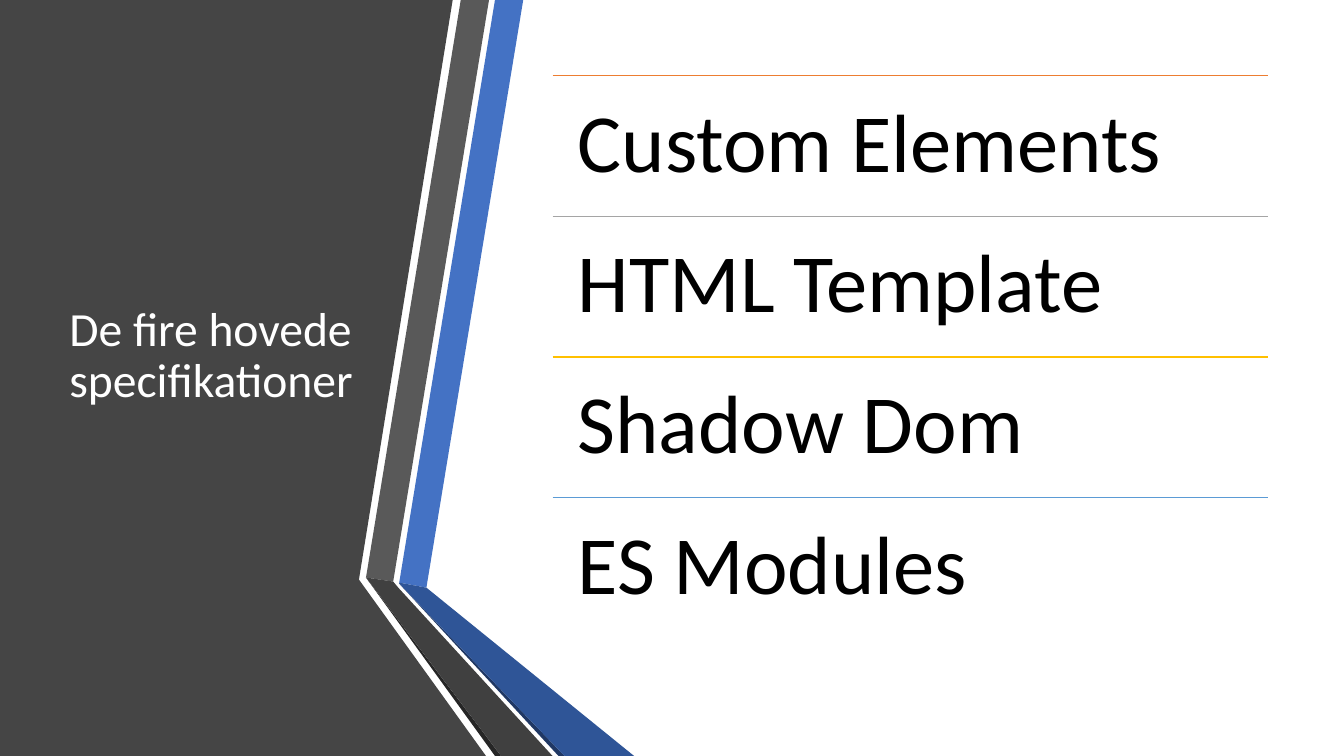
from pptx import Presentation
from pptx.dml.color import RGBColor
from pptx.enum import shapes, text
from pptx.oxml import ns, xmlchemy
from pptx.util import Inches, Pt

COLORS = {
    "panel": "454545", "blue": "4472C4", "gray": "595959",
    "gray_edge": "262626", "blue_edge": "203864",
    "blue_fold": "2F5597", "gray_fold": "404040",
    "orange": "ED7D31", "silver": "A5A5A5", "gold": "FFC000", "sky": "5B9BD5",
    "white": "FFFFFF", "black": "000000",
}
TITLE = "De fire hovede specifikationer"
SPECIFICATIONS = [
    ("Custom Elements", "orange"),
    ("HTML Template", "silver"),
    ("Shadow Dom", "gold"),
    ("ES Modules", "sky"),
]
BANDS = [
    ("panel", [(0, 0), (4.49, 0), (3.56, 5.75), (4.82, 7.5), (0, 7.5)]),
    ("blue", [(3.96, 5.78), (4.23, 5.83), (5.19, 0), (4.91, 0)]),
    ("gray", [(4.85, 0), (4.57, 0), (3.63, 5.73), (3.9, 5.77)]),
    ("gray_edge", [(3.63, 5.73), (4.91, 7.5), (4.97, 7.5)]),
    ("blue_edge", [(3.96, 5.79), (5.54, 7.5), (5.6, 7.5)]),
    ("blue_fold", [(3.96, 5.79), (5.6, 7.5), (6.29, 7.5), (4.23, 5.83), (3.96, 5.78)]),
    ("gray_fold", [(5.48, 7.5), (3.95, 5.83), (3.9, 5.77), (3.63, 5.73), (4.97, 7.5)]),
]
LIST_LEFT, LIST_WIDTH = 5.48, 7.1
TOP, HEIGHT = 0.75, 5.58


def rgb(name):
    return RGBColor.from_string(COLORS[name])


def add_band(slide, color, points):
    corners = [(Inches(x), Inches(y)) for x, y in points]
    builder = slide.shapes.build_freeform(*corners[0])
    builder.add_line_segments(corners[1:], close=True)
    band = builder.convert_to_shape()
    band.shadow.inherit = False
    band.fill.solid()
    band.fill.fore_color.rgb = rgb(color)
    band.line.fill.background()


def add_text(slide, words, box, size, color, anchor, inset):
    frame = slide.shapes.add_textbox(*map(Inches, box)).text_frame
    frame.word_wrap = True
    frame.vertical_anchor = anchor
    frame.margin_left = frame.margin_right = Inches(inset)
    frame.margin_top = frame.margin_bottom = Inches(inset)
    paragraph = frame.paragraphs[0]
    paragraph.text = words
    paragraph.line_spacing = 0.9
    paragraph.font.name = "Calibri"
    paragraph.font.size = Pt(size)
    paragraph.font.color.rgb = rgb(color)


def add_rule(slide, y, color):
    rule = slide.shapes.add_connector(
        shapes.MSO_CONNECTOR.STRAIGHT, Inches(LIST_LEFT), Inches(y),
        Inches(LIST_LEFT + LIST_WIDTH), Inches(y))
    rule.line.color.rgb = rgb(color)
    rule.line.width = Pt(1)
    rule._element.spPr.append(xmlchemy.OxmlElement("a:effectLst"))


def main():
    """Build the slide of four specifications beside a folded title panel."""
    deck = Presentation()
    deck.slide_width, deck.slide_height = Inches(13.33), Inches(7.5)
    slide = deck.slides.add_slide(deck.slide_layouts[6])
    for color, points in BANDS:
        add_band(slide, color, points)
    add_text(slide, TITLE, (0.59, TOP, 3.04, HEIGHT), 34, "white",
             text.MSO_ANCHOR.MIDDLE, 0.1)
    row_height = HEIGHT / len(SPECIFICATIONS)
    for row, (specification, color) in enumerate(SPECIFICATIONS):
        y = TOP + row * row_height
        add_rule(slide, y, color)
        add_text(slide, specification, (LIST_LEFT, y, LIST_WIDTH, row_height),
                 59, "black", text.MSO_ANCHOR.TOP, 0.25)
    deck.save("out.pptx")


if __name__ == "__main__":
    main()
